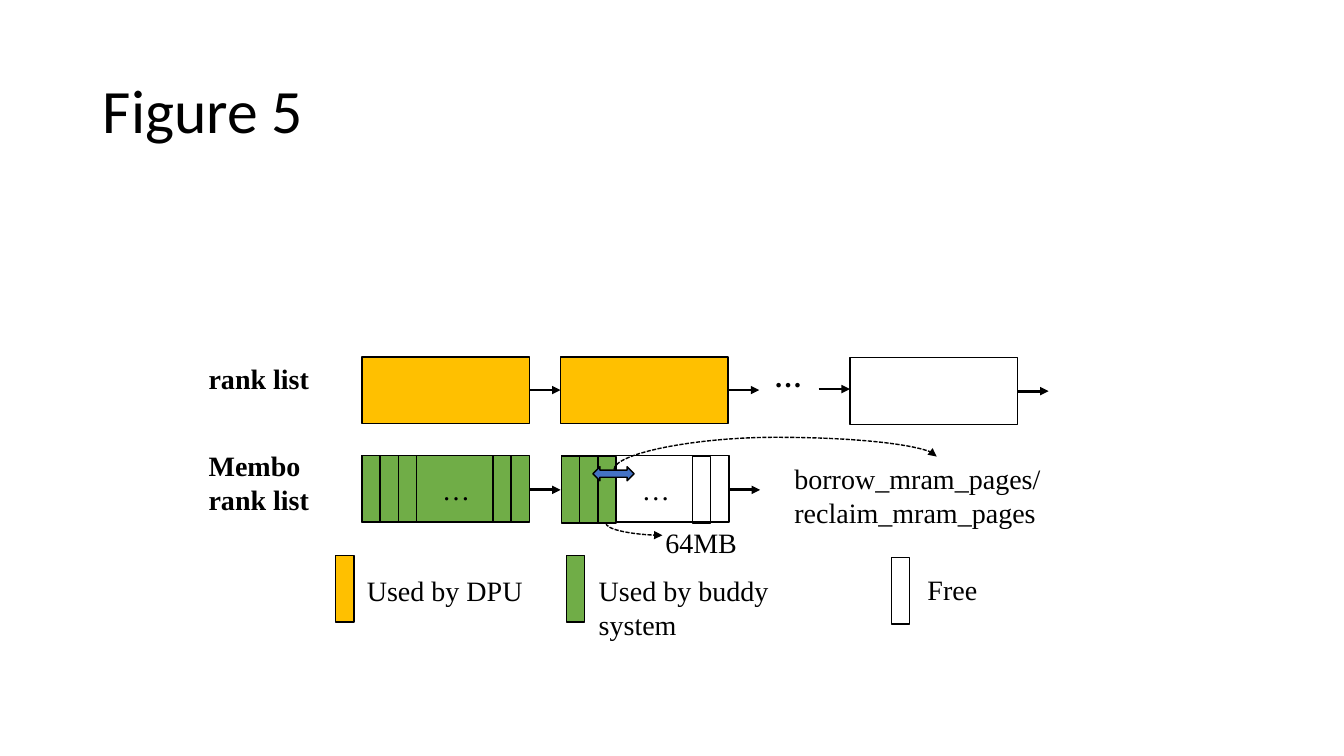
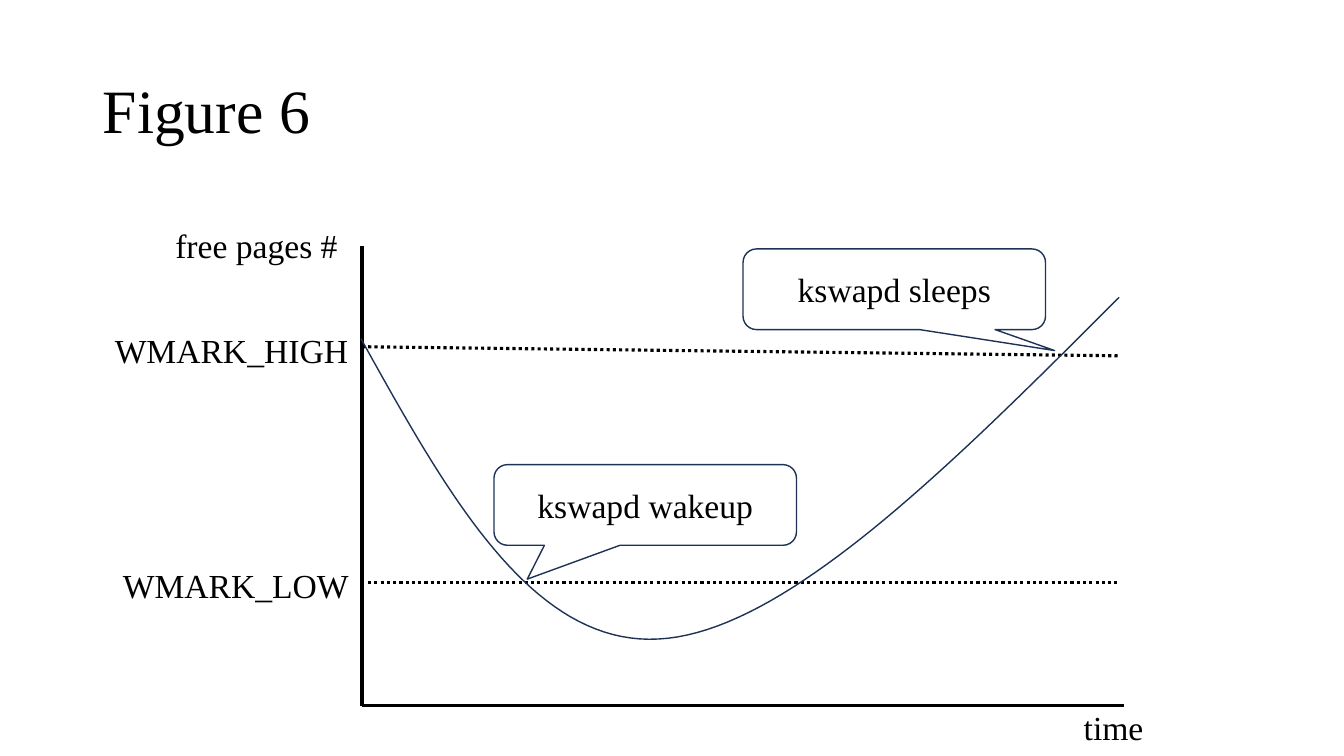
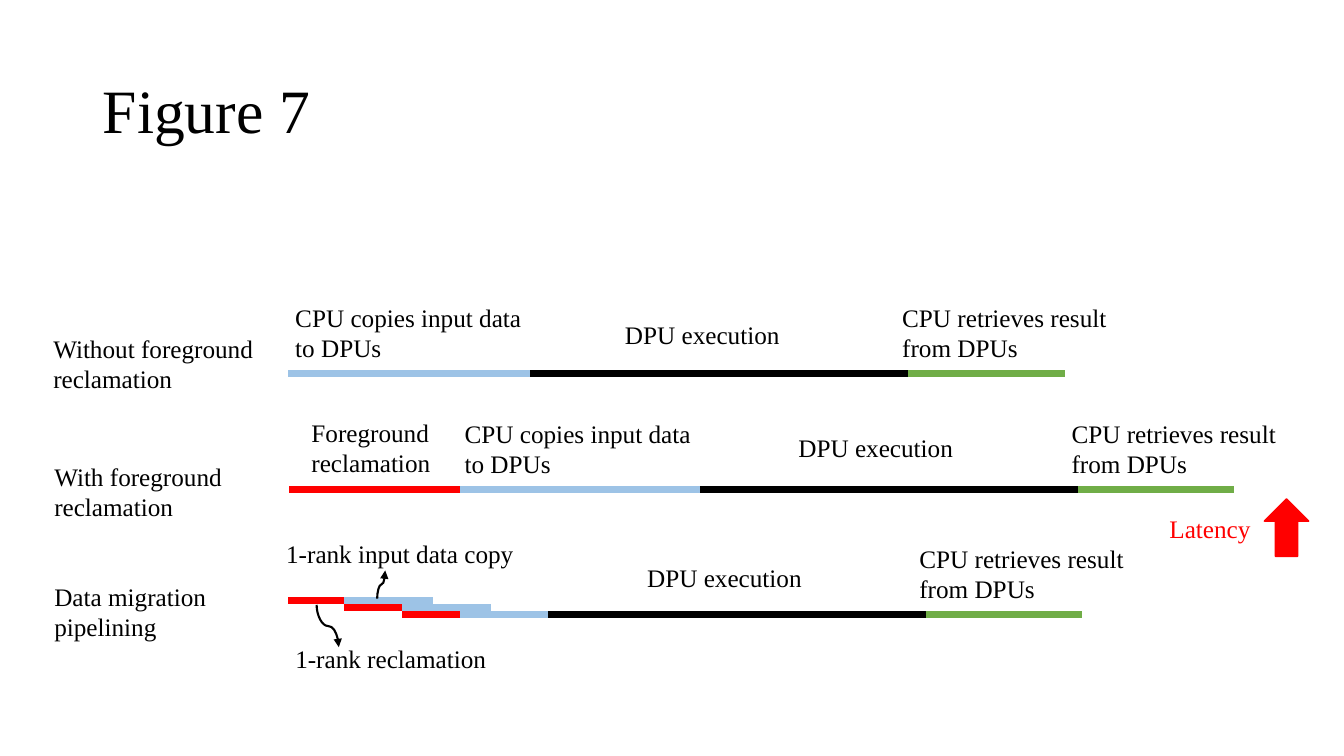
from itertools import pairwise

from lxml.etree import SubElement
from pptx import Presentation
from pptx.dml.color import RGBColor
from pptx.enum.dml import MSO_LINE as Dash
from pptx.enum.shapes import MSO_CONNECTOR as Conn, MSO_SHAPE as Form
from pptx.enum.text import MSO_ANCHOR as Anchor, MSO_AUTO_SIZE as Auto, PP_ALIGN as Align
from pptx.oxml.ns import qn
from pptx.util import Inches, Pt

HUE = {"black": "000000", "gold": "FFC000", "green": "70AD47", "blue": "4472C4",
       "sky": "9DC3E6", "red": "FF0000", "navy": "1E3256"}
SERIF = "Times New Roman"


class Deck:
    """Holds the shared style and the current slide."""

    def __init__(self):
        self.prs = Presentation()
        self.prs.slide_width, self.prs.slide_height = Inches(13.33), Inches(7.5)

    def rgb(self, hue):
        return RGBColor.from_string(HUE[hue])

    def page(self, title, size, font=SERIF):
        self.slide = self.prs.slides.add_slide(self.prs.slide_layouts[5])
        self.shapes, self.size = self.slide.shapes, size
        head = self.shapes.title
        head.left, head.top, head.width, head.height = map(Inches, (0.92, 0.4, 11.5, 1.45))
        head.text_frame.vertical_anchor = Anchor.MIDDLE
        self.letter(head.text_frame, title, size=44, font=font)
        head.text_frame.paragraphs[0].line_spacing = 0.9

    def letter(self, frame, text, hue="black", bold=False, size=None, font=SERIF, align=Align.LEFT):
        frame.word_wrap = True
        frame.text = text
        for par in frame.paragraphs:
            par.alignment = align
            face = par.font
            face.name, face.size, face.bold = font, Pt(size or self.size), bold
            face.color.rgb = self.rgb(hue)

    def label(self, text, x, y, w, rows=1, **style):
        high = 0.1 + rows * self.size * 1.2 / 72
        box = self.shapes.add_textbox(*map(Inches, (x, y, w, high)))
        self.letter(box.text_frame, text, **style)
        box.text_frame.auto_size = Auto.SHAPE_TO_FIT_TEXT

    def paint(self, shape, fill, edge):
        shape.shadow.inherit = False
        if fill:
            shape.fill.solid()
            shape.fill.fore_color.rgb = self.rgb(fill)
        else:
            shape.fill.background()
        shape.line.color.rgb = self.rgb(edge)
        shape.line.width = Pt(1)

    def block(self, x, y, w, h, fill=None, edge="black", form=Form.RECTANGLE, text="", inset=0.1):
        shape = self.shapes.add_shape(form, *map(Inches, (x, y, w, h)))
        self.paint(shape, fill, edge)
        if text:
            self.letter(shape.text_frame, text, align=Align.CENTER)
            shape.text_frame.vertical_anchor = Anchor.MIDDLE
            shape.text_frame.margin_left = Inches(inset)
        return shape

    def callout(self, text, x, y, tip):
        shape = self.block(x, y, 3, 0.8, edge="navy", form=Form.ROUNDED_RECTANGULAR_CALLOUT,
                           text=text)
        shape.adjustments[0], shape.adjustments[1] = tip

    def line(self, x1, y1, x2, y2, hue="black", width=2, dash=None, head=False, kind=Conn.STRAIGHT):
        link = self.shapes.add_connector(kind, *map(Inches, (x1, y1, x2, y2)))
        link.line.color.rgb = self.rgb(hue)
        link.line.width = Pt(width)
        if dash:
            link.line.dash_style = dash
        if head:
            SubElement(link.line._get_or_add_ln(), qn("a:tailEnd"), type="triangle")
        SubElement(link._element.spPr, qn("a:effectLst"))
        return link

    def arrow(self, x, y, size=0.31):
        self.line(x, y, x + size, y, head=True)

    def curve(self, x1, y1, x2, y2, width, dash=None, bend=0.5, kind="curvedConnector3"):
        """Draws a curved arrow that leaves its start upright."""
        mx, my, dx, dy = (x1 + x2) / 2, (y1 + y2) / 2, x2 - x1, y2 - y1
        u, v = -abs(dy) / 2, dx / 2 if dy > 0 else -dx / 2
        link = self.line(mx - u, my - v, mx + u, my + v, width=width, dash=dash,
                         head=True, kind=Conn.CURVE)
        props = link._element.spPr
        props.find(qn("a:xfrm")).set("rot", str((270 if dy > 0 else 90) * 60000))
        geom = props.find(qn("a:prstGeom"))
        geom.set("prst", kind)
        if kind == "curvedConnector3":
            SubElement(geom.find(qn("a:avLst")), qn("a:gd"), name="adj1",
                       fmla=f"val {round(bend * 100000)}")

    def trace(self, start, arcs, hue, steps=40):
        """Draws a smooth open path through cubic arcs."""
        dots, last = [], start
        for arc in arcs:
            for i in range(1, steps + 1):
                t = i / steps
                parts = ((1 - t) ** 3, 3 * t * (1 - t) ** 2, 3 * t * t * (1 - t), t ** 3)
                dots.append(tuple(Inches(sum(k * p[axis] for k, p in zip(parts, (last, *arc))))
                                  for axis in (0, 1)))
            last = arc[-1]
        route = self.shapes.build_freeform(*map(Inches, start))
        route.add_line_segments(dots, close=False)
        self.paint(route.convert_to_shape(), None, hue)


def ranks(deck):
    deck.page("Figure 5", 20, "Calibri")
    wide, high, cell = 1.66, 0.66, 0.18
    deck.label("rank list", 1.97, 3.54, 1.59, bold=True)
    deck.label("Membo rank list", 1.97, 4.4, 1.59, rows=2, bold=True)
    for x, y, fill in ((3.59, 3.54, "gold"), (5.56, 3.54, "gold"), (8.43, 3.55, None)):
        deck.block(x, y, wide, high, fill)
        deck.arrow(x + wide, y + high / 2)
    deck.arrow(8.12, 3.86)
    deck.label("…", 7.58, 3.52, 0.63, bold=True)
    for x, y, fill in ((3.59, 4.52, "green"), (5.57, 4.53, None)):
        deck.arrow(x + wide, 4.86)
        deck.block(x, 4.52, wide, high, fill, text="…", inset=0.31)
        for i in range(3):
            deck.block(x + i * cell, y, cell, high, "green")
        deck.block(x + 1.3, y, cell, high, fill)
    deck.block(5.88, 4.63, 0.41, 0.14, "blue", form=Form.LEFT_RIGHT_ARROW)
    deck.label("borrow_mram_pages/\nreclaim_mram_pages", 7.78, 4.53, 3.02, rows=2)
    deck.curve(6.09, 4.66, 9.29, 4.53, 1, Dash.SQUARE_DOT, bend=2.47)
    deck.curve(6.01, 5.19, 6.57, 5.31, 1, Dash.SQUARE_DOT, kind="curvedConnector2")
    deck.label("64MB", 6.5, 5.16, 1.23)
    for x, y, fill in ((3.33, 5.51, "gold"), (5.62, 5.51, "green"), (8.84, 5.53, None)):
        deck.block(x, y, cell, high, fill)
    deck.label("Used by DPU", 3.54, 5.64, 1.86)
    deck.label("Used by buddy system", 5.84, 5.64, 2.1, rows=2)
    deck.label("Free", 9.1, 5.63, 0.79)


def marks(deck):
    deck.page("Figure 6", 24)
    deck.line(3.59, 2.44, 3.59, 7, width=2.5)
    deck.line(11.15, 7, 3.59, 7, width=2.5)
    for x, y, end in ((3.59, 3.44, 3.53), (3.65, 5.78, 5.78)):
        deck.line(x, y, 11.1, end, width=2.25, dash=Dash.ROUND_DOT)
    deck.trace((3.58, 3.36), (((4.43, 4.89), (5.27, 6.41), (6.53, 6.34)),
                              ((7.78, 6.28), (9.44, 4.61), (11.1, 2.95))), "navy")
    for text, x, y, w in (("WMARK_HIGH", 1.04, 3.22, 2.53), ("WMARK_LOW", 1.12, 5.56, 2.53),
                          ("time", 10.65, 6.96, 1.11), ("free pages #", 1.64, 2.18, 2.19)):
        deck.label(text, x, y, w)
    deck.callout("kswapd wakeup", 4.9, 4.61, (-0.39, 0.92))
    deck.callout("kswapd sleeps", 7.37, 2.47, (0.53, 0.76))


def phases(deck):
    deck.page("Figure 7", 18)
    for text, x, y, w in (("Without foreground reclamation", 0.43, 3.26, 2.19),
                          ("With foreground reclamation", 0.44, 4.53, 2.06),
                          ("Data migration pipelining", 0.44, 5.72, 2.29)):
        deck.label(text, x, y, w, rows=2)
    for x, y, left, top in ((5.26, 3.71, 6.1, 3.12), (6.94, 4.86, 7.82, 4.24),
                            (5.43, 6.1, 6.32, 5.53)):
        deck.line(x, y, x + 5.3, y, width=5)
        deck.line(x + 3.75, y, x + 5.3, y, "green", 5)
        deck.label("DPU execution", left, top, 1.77)
        deck.label("CPU retrieves result from DPUs", x + 3.59, y - 0.76, 2.34, rows=2)
    for x, y in ((2.86, 3.71), (4.54, 4.86)):
        deck.line(x, y, x + 2.4, y, "sky", 5)
        deck.label("CPU copies input data to DPUs", x - 0.03, y - 0.76, 2.44, rows=2)
    deck.line(2.87, 4.86, 4.56, 4.86, "red", 5)
    deck.label("Foreground\nreclamation", 2.99, 4.09, 1.51, rows=2)
    for i, (x, end) in enumerate(pairwise((2.86, 3.41, 3.99, 4.56))):
        y = 5.96 + i * 0.07
        deck.line(x, y, end, y, "red", 5)
        deck.line(end, y, end + 0.88, y, "sky", 5)
    deck.label("1-rank reclamation", 2.83, 6.33, 2.52)
    deck.label("1-rank input data copy", 2.74, 5.29, 3)
    deck.curve(3.14, 6, 3.36, 6.42, 1.5)
    deck.curve(3.74, 5.94, 3.82, 5.66, 1.5)
    deck.label("Latency", 11.5, 5.04, 1.15, hue="red")
    deck.block(12.54, 4.95, 0.44, 0.57, "red", "red", Form.UP_ARROW)


deck = Deck()
for build in (ranks, marks, phases):
    build(deck)
deck.prs.save("out.pptx")
